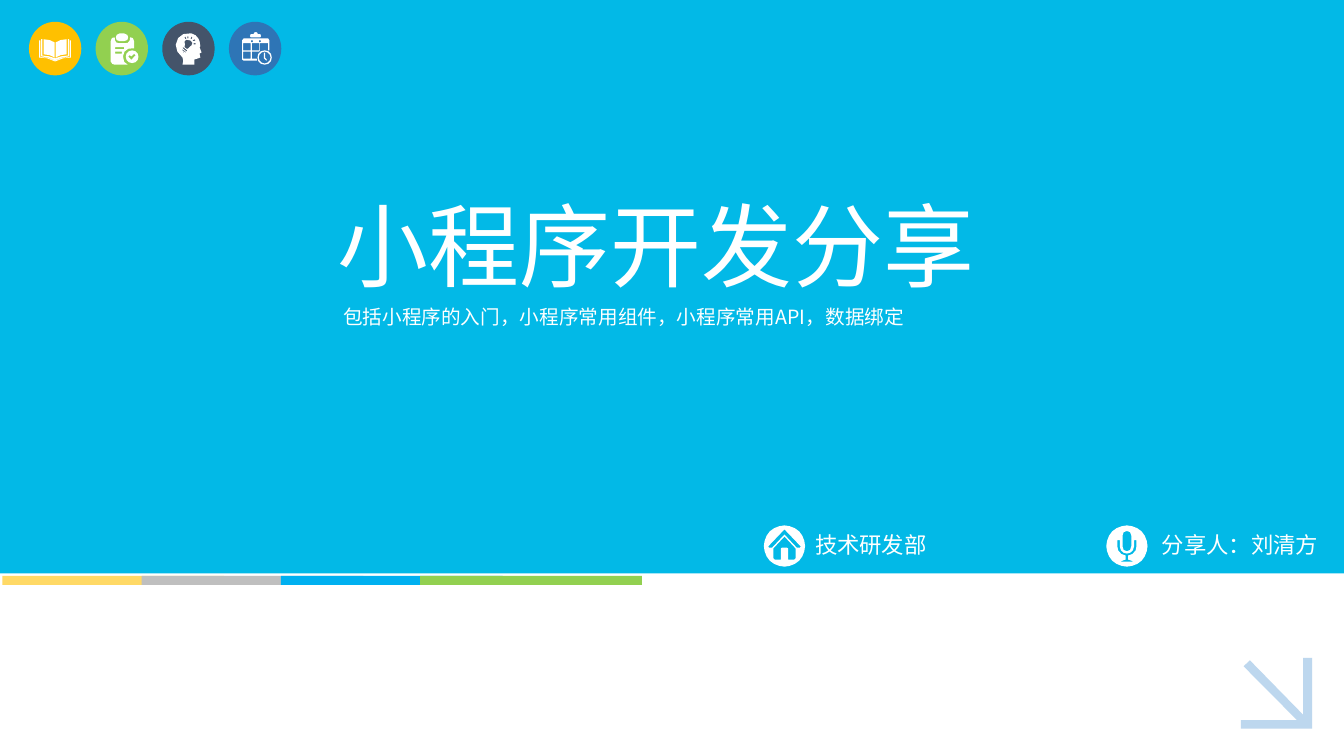
"""Build the cover slide of a mini-program development talk."""
from math import cos, pi, sin

from pptx import Presentation
from pptx.dml.color import RGBColor
from pptx.enum.shapes import MSO_SHAPE
from pptx.enum.text import MSO_ANCHOR, MSO_AUTO_SIZE, PP_ALIGN
from pptx.oxml.ns import qn
from pptx.util import Cm, Pt

FONT = "Noto Sans CJK SC"
COLORS = {
    "sky": "02B9E7", "white": "FFFFFF", "arrow": "BDD7EE",
    "yellow": "FFD966", "grey": "BFBFBF", "azure": "00B0F0",
    "green": "92D050", "amber": "FFC000", "slate": "44546A", "blue": "2E75B6",
}

presentation = Presentation()
presentation.slide_width, presentation.slide_height = Cm(33.87), Cm(19.05)
slide = presentation.slides.add_slide(presentation.slide_layouts[6])
shapes = slide.shapes


def disc(x, y, radius, sides=12):
    """Return the contour of a circle in 0.01 cm units."""
    return [(x + radius * cos(2 * pi * side / sides), y + radius * sin(2 * pi * side / sides))
            for side in range(sides)]


def outline(contours, color, halves=(), axis=0):
    """Add one filled outline in 0.01 cm units; halves are mirrored at axis."""
    contours = contours + [half + [(2 * axis - x, y) for x, y in reversed(half)]
                           for half in halves]
    builder = shapes.build_freeform(*contours[0][0], scale=Cm(1) / 100)
    builder.add_line_segments(contours[0][1:])
    for contour in contours[1:]:
        builder.move_to(*contour[0])
        builder.add_line_segments(contour[1:])
    part = builder.convert_to_shape()
    part.shadow.inherit = False
    part.fill.solid()
    part.fill.fore_color.rgb = RGBColor.from_string(COLORS[color])
    part.line.fill.background()


panels = [(MSO_SHAPE.RECTANGLE, 0, 0, 33.87, 14.45, "sky")]
panels += [(MSO_SHAPE.RECTANGLE, 0.06 + 3.51 * index, 14.51, 5.59, 0.23, color)
           for index, color in enumerate(["yellow", "grey", "azure", "green"])]
panels += [(MSO_SHAPE.OVAL, 0.73 + 1.68 * index, 0.55, 1.32, 1.35, color)
           for index, color in enumerate(["amber", "green", "slate", "blue"])]
for kind, left, top, width, height, color in panels:
    panel = shapes.add_shape(kind, Cm(left), Cm(top), Cm(width), Cm(height))
    panel.shadow.inherit = False
    panel.fill.solid()
    panel.fill.fore_color.rgb = RGBColor.from_string(COLORS[color])
    panel.line.fill.background()

captions = [
    ("小程序开发分享", 8.26, 4.76, 17.25, 2.79, 65, PP_ALIGN.JUSTIFY),
    ("包括小程序的入门，小程序常用组件，小程序常用API，数据绑定",
     8.4, 7.57, 14.81, 0.86, 14, PP_ALIGN.JUSTIFY),
    ("技术研发部", 20.29, 13.26, 7.7, 0.94, 16, PP_ALIGN.LEFT),
    ("分享人：刘清方", 29.03, 13.26, 4.5, 0.94, 16, PP_ALIGN.LEFT),
]
for wording, left, top, width, height, size, alignment in captions:
    frame = shapes.add_textbox(Cm(left), Cm(top), Cm(width), Cm(height)).text_frame
    frame.word_wrap = True
    if size == 65:
        frame.vertical_anchor = MSO_ANCHOR.MIDDLE
    else:
        frame.auto_size = MSO_AUTO_SIZE.SHAPE_TO_FIT_TEXT
    paragraph = frame.paragraphs[0]
    paragraph.alignment = alignment
    run = paragraph.add_run()
    run.text = wording
    for font in (paragraph.font, run.font):
        font.size = Pt(size)
        font.name = FONT
        font.color.rgb = RGBColor.from_string(COLORS["white"])
    east_asian = run._r.rPr.makeelement(qn("a:ea"), {"typeface": FONT})
    run._r.rPr.find(qn("a:latin")).addnext(east_asian)

outline([[(3284, 1658), (3307, 1658), (3307, 1836), (3127, 1836), (3127, 1815),
          (3269, 1815), (3134, 1679), (3150, 1664), (3284, 1801)]], "arrow")

book_left = [(138, 107), (125, 101), (110, 99), (110, 137), (125, 139), (138, 145)]
book_right = [(278 - x, y) for x, y in book_left]
book_edge = [(139, 152), (122, 145), (104, 142), (104, 99),
             (107, 99), (107, 140), (124, 142), (139, 147)]
book_cover = [(139, 155), (119, 147), (99, 145), (99, 102),
              (102, 102), (102, 144), (121, 146), (139, 153)]
outline([book_left, book_right], "white", [book_edge, book_cover], 139)

clip = [(302, 84), (312, 84), (321, 88), (323, 94), (321, 101),
        (312, 104), (302, 104), (294, 101), (292, 94), (294, 88)]
board = [(289, 94), (282, 96), (279, 104), (279, 155), (283, 161), (289, 163),
         (322, 163), (313, 156), (310, 142), (314, 130), (323, 123), (333, 122),
         (338, 122), (338, 104), (335, 96), (328, 94), (327, 102), (322, 108),
         (315, 109), (300, 109), (293, 107), (290, 102)]
long_line = [(290, 119), (313, 119), (313, 124), (290, 124)]
short_line = [(290, 130), (307, 130), (307, 135), (290, 135)]
check = [(323, 142), (327, 139), (331, 142), (338, 136), (342, 139), (331, 151)]
outline([clip, board, long_line, short_line, disc(333, 143, 16), check], "white")

head = [(460, 163), (462, 153), (460, 145), (447, 130), (443, 113), (449, 96),
        (462, 86), (482, 84), (493, 89), (500, 97), (503, 104), (505, 117),
        (503, 119), (508, 132), (503, 135), (505, 145), (500, 147),
        (490, 150), (490, 163)]
bulb = [
    [(465, 104), (470, 100), (480, 102), (485, 108), (483, 114),
     (472, 124), (465, 119), (466, 112)],
    [(472, 127), (462, 119), (460, 121), (470, 130)],
    [(470, 132), (460, 124), (460, 127), (467, 132)],
    [(460, 128), (462, 132), (465, 132)],
]
rays = [
    [(483, 99), (485, 94), (483, 92), (480, 97)],
    [(488, 104), (493, 102), (490, 99), (485, 102)],
    [(475, 97), (475, 92), (472, 92), (472, 97)],
    [(470, 97), (467, 92), (465, 94), (467, 99)],
    [(488, 112), (493, 112), (493, 109), (488, 109)],
]
outline([head] + bulb + rays, "white")

hanger = [(630, 91), (632, 94), (656, 94), (658, 91), (656, 86), (650, 86),
          (648, 82), (645, 81), (641, 82), (639, 86), (632, 86)]
calendar = [(610, 102), (614, 97), (676, 97), (679, 102), (679, 127), (676, 127),
            (676, 109), (655, 109), (655, 127), (653, 130), (635, 130), (635, 148),
            (647, 148), (648, 153), (614, 153), (610, 150)]
days = [[(x, y), (x + 19, y), (x + 19, y + 18), (x, y + 18)]
        for x, y in [(613, 109), (635, 109), (613, 130)]]
holes = [disc(x, 104, 3, 8) for x in (635, 655)]
hands = [(665, 133), (668, 133), (668, 145), (673, 151), (671, 153), (665, 147)]
clock = [disc(667, 145, 18), disc(667, 145, 15), hands]
outline([hanger, calendar] + days + holes + clock, "white")

roof = [(1977, 1334), (1936, 1377), (1938, 1380), (1946, 1380), (1977, 1347)]
walls = [(1977, 1352), (1949, 1382), (1949, 1407), (1952, 1410),
         (1968, 1410), (1968, 1382), (1971, 1380)]
outline([disc(1977, 1376, 52, 24)], "white", [roof, walls], 1977)

capsule = [(2840, 1338), (2832, 1341), (2829, 1349), (2829, 1377), (2832, 1386), (2840, 1389)]
stand = [(2840, 1415), (2823, 1415), (2837, 1410), (2837, 1400), (2826, 1396),
         (2818, 1387), (2816, 1377), (2816, 1361), (2822, 1361), (2822, 1377),
         (2825, 1387), (2832, 1393), (2840, 1395)]
outline([disc(2840, 1376, 52, 24)], "white", [capsule, stand], 2840)

presentation.save("out.pptx")
